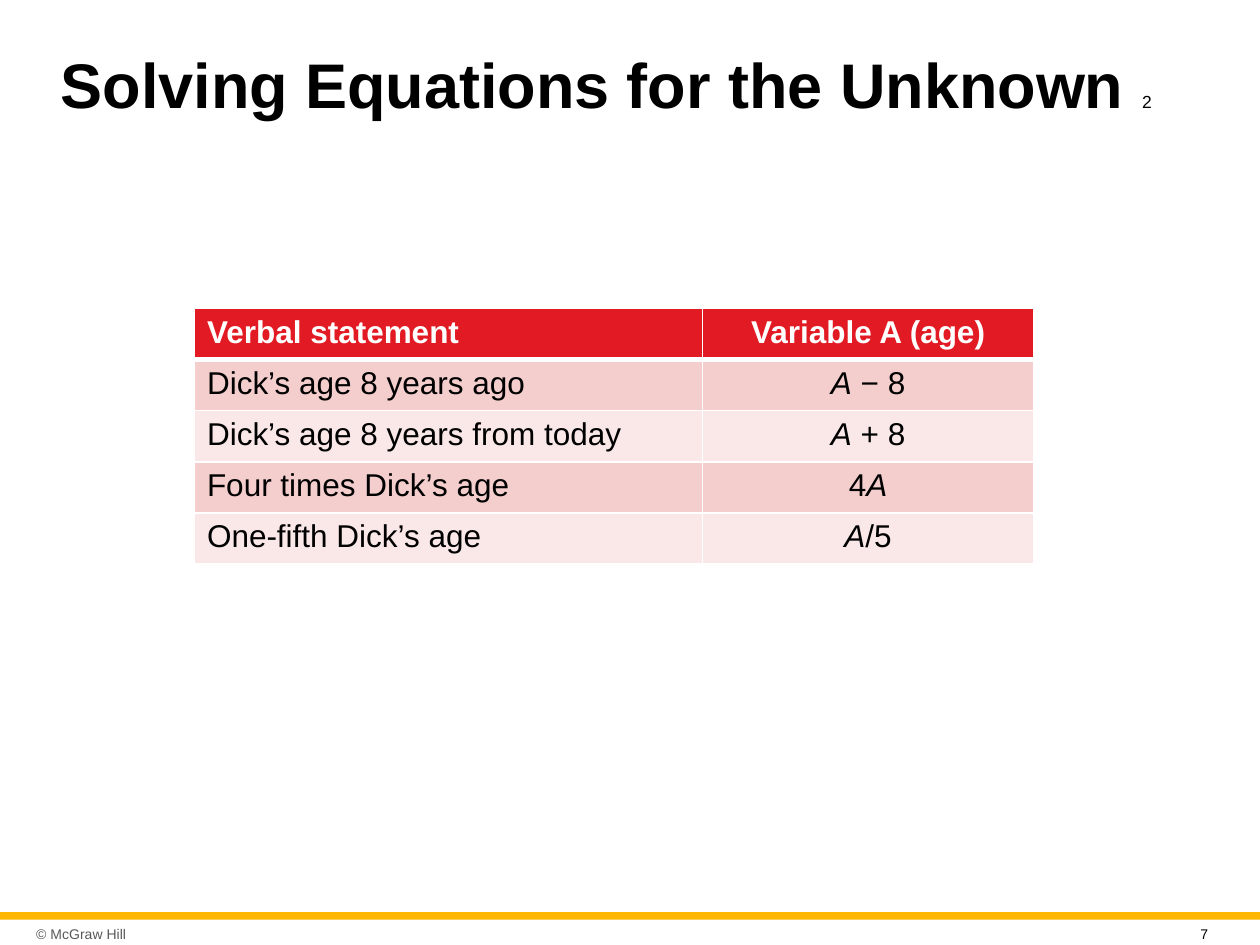
from dataclasses import dataclass

import pptx
import pptx.dml.color
import pptx.enum.shapes
import pptx.enum.text
import pptx.oxml
import pptx.oxml.ns
import pptx.util
from pptx.util import Cm, Pt

ALIGN = pptx.enum.text.PP_ALIGN
MIDDLE = pptx.enum.text.MSO_ANCHOR.MIDDLE


@dataclass(frozen=True)
class Theme:
    face: str = "Arial"
    ink: str = "000000"
    white: str = "FFFFFF"
    gray: str = "595959"
    gold: str = "FFB600"
    red: str = "E21A23"
    bands: tuple = ("F4CDCD", "FAE8E8")
    head: int = 36
    body: int = 18
    tiny: int = 10
    foot: int = 8


THEME = Theme()

ROWS = [
    ("Verbal statement", "Variable A (age)"),
    ("Dick’s age 8 years ago", "A − 8"),
    ("Dick’s age 8 years from today", "A + 8"),
    ("Four times Dick’s age", "4A"),
    ("One-fifth Dick’s age", "A/5"),
]


def color(code):
    return pptx.dml.color.RGBColor.from_string(code)


def style(font, size, code, bold=False):
    font.name = THEME.face
    font.size = Pt(size)
    font.bold = bold
    font.color.rgb = color(code)


def place(shape, left, top, width, height):
    shape.left, shape.top = Cm(left), Cm(top)
    shape.width, shape.height = Cm(width), Cm(height)


def add_title(slide, text, count):
    """Fill the title, with its running number small and light at the end."""
    title = slide.shapes.title
    place(title, 0.97, 0.53, 23.5, 2.51)
    frame = title.text_frame
    frame.auto_size = pptx.enum.text.MSO_AUTO_SIZE.NONE
    frame.vertical_anchor = MIDDLE
    para = frame.paragraphs[0]
    para.alignment = ALIGN.LEFT
    para.line_spacing = 0.9
    for words, size, bold in ((text + " ", THEME.head, True),
                              (count, THEME.tiny, False)):
        run = para.add_run()
        run.text = words
        style(run.font, size, THEME.ink, bold)


def add_bar(slide):
    bar = slide.shapes.add_shape(
        pptx.enum.shapes.MSO_SHAPE.RECTANGLE,
        Cm(0), Cm(18.39), Cm(25.4), Cm(0.15))
    bar.shadow.inherit = False
    bar.fill.solid()
    bar.fill.fore_color.rgb = color(THEME.gold)
    bar.line.fill.background()


def add_note(slide, text, box, code, inset, anchor):
    note = slide.shapes.add_textbox(*map(Cm, box))
    frame = note.text_frame
    frame.word_wrap = True
    frame.vertical_anchor = anchor
    frame.margin_left = frame.margin_right = Cm(inset)
    para = frame.paragraphs[0]
    para.text = text
    style(para.font, THEME.foot, code)


def set_edges(cell, top, bottom):
    """Draw white cell borders; top and bottom are widths in points."""
    props = cell._tc.get_or_add_tcPr()
    for side, width in (("L", 1), ("R", 1), ("T", top), ("B", bottom)):
        props.append(pptx.oxml.parse_xml(
            f'<a:ln{side} {pptx.oxml.ns.nsdecls("a")} w="{Pt(width)}">'
            f'<a:solidFill><a:srgbClr val="{THEME.white}"/></a:solidFill>'
            f'</a:ln{side}>'))


def fill_cell(cell, text, row, col):
    head = row == 0
    set_edges(cell, 3 if row == 1 else 1, 3 if head else 1)
    cell.fill.solid()
    cell.fill.fore_color.rgb = color(
        THEME.red if head else THEME.bands[(row - 1) % 2])
    para = cell.text_frame.paragraphs[0]
    para.alignment = ALIGN.CENTER if col else ALIGN.LEFT
    style(para.font, THEME.body, THEME.white if head else THEME.ink, head)
    math = col == 1 and not head
    for words in filter(None, text.partition("A") if math else [text]):
        run = para.add_run()
        run.text = words
        if math and words == "A":
            run.font.italic = True


def add_grid(slide):
    wide, high = (10.24, 6.68), 1.03
    table = slide.shapes.add_table(
        len(ROWS), len(wide), Cm(3.92), Cm(6.22),
        Cm(sum(wide)), Cm(high * len(ROWS))).table
    for col, width in zip(table.columns, wide):
        col.width = Cm(width)
    for r, texts in enumerate(ROWS):
        table.rows[r].height = Cm(high)
        for c, text in enumerate(texts):
            fill_cell(table.cell(r, c), text, r, c)


def main():
    deck = pptx.Presentation()
    deck.slide_width, deck.slide_height = Cm(25.4), Cm(19.05)
    slide = deck.slides.add_slide(deck.slide_layouts[5])
    add_bar(slide)
    add_note(slide, "© McGraw Hill", (0.6, 18.52, 3.43, 0.61),
             THEME.gray, 0.13, MIDDLE)
    add_title(slide, "Solving Equations for the Unknown", "2")
    add_grid(slide)
    add_note(slide, "7", (23.95, 18.54, 1, 0.46),
             THEME.ink, 0.25, pptx.enum.text.MSO_ANCHOR.TOP)
    deck.save("out.pptx")


if __name__ == "__main__":
    main()
